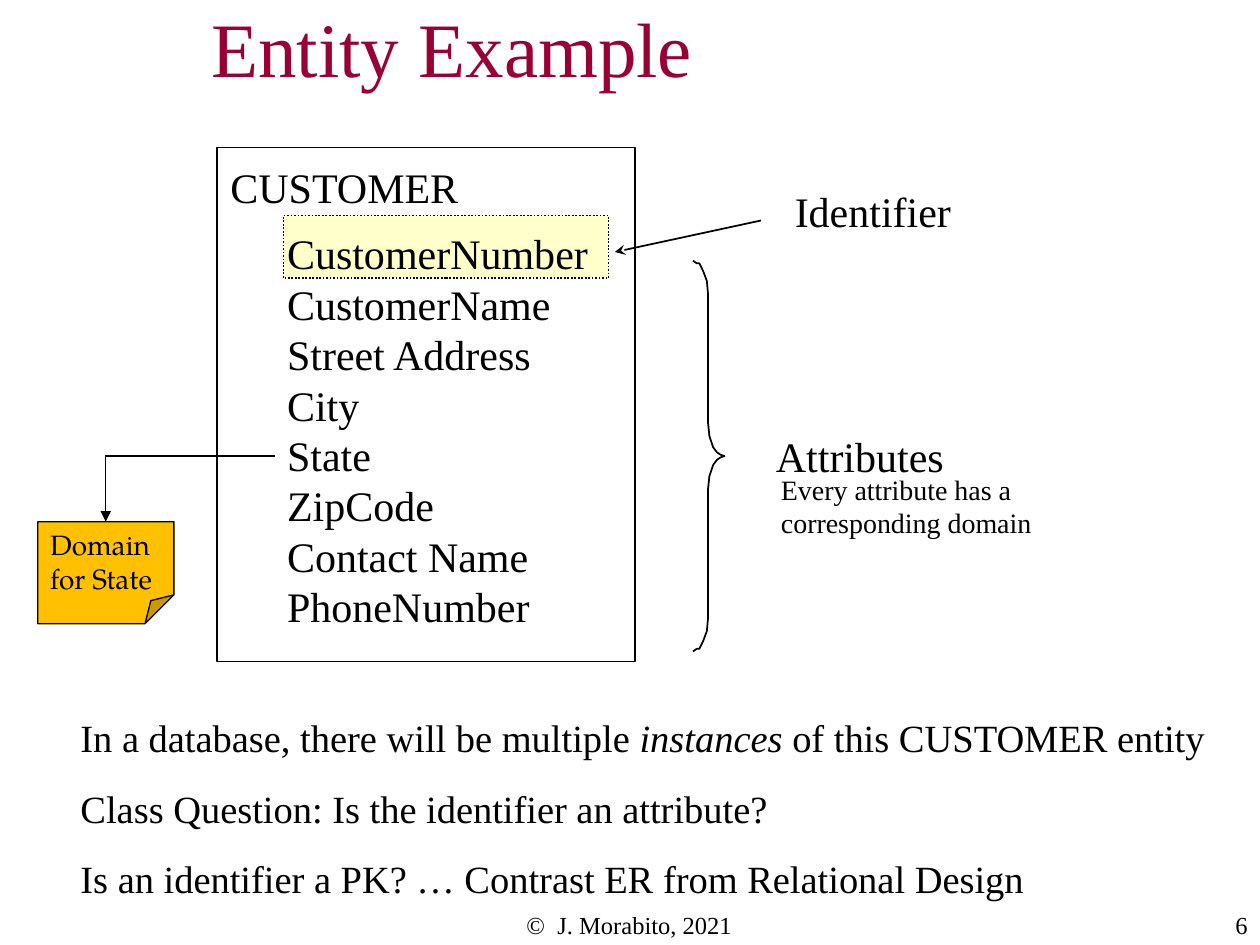
import pptx
import pptx.dml.color
import pptx.enum.dml
import pptx.enum.shapes
import pptx.enum.text
import pptx.oxml.ns
import pptx.util
from lxml import etree
from pptx.util import Inches

BLACK = pptx.dml.color.RGBColor(0x00, 0x00, 0x00)
CRIMSON = pptx.dml.color.RGBColor(0x99, 0x00, 0x33)
YELLOW = pptx.dml.color.RGBColor(0xFF, 0xFF, 0x99)
AMBER = pptx.dml.color.RGBColor(0xFF, 0xC0, 0x00)
SERIF = "Times New Roman"
NOTE_FONT = "TeX Gyre Pagella"

ALIGN = pptx.enum.text.PP_ALIGN
ANCHOR = pptx.enum.text.MSO_ANCHOR
SHAPE = pptx.enum.shapes.MSO_SHAPE
CONNECTOR = pptx.enum.shapes.MSO_CONNECTOR

ATTRIBUTES = ["CustomerNumber", "CustomerName", "Street Address", "City",
              "State", "ZipCode", "Contact Name", "PhoneNumber"]
REMARKS = [
    ["In a database, there will be multiple", " instances ", "of this CUSTOMER entity"],
    ["Class Question: Is the identifier an attribute?"],
    ["Is an identifier a PK? … Contrast ER from Relational Design"],
]
BRACE_TOP = [(5.5, 2.07), (5.53, 2.09), (5.55, 2.09), (5.58, 2.15), (5.61, 2.23),
             (5.62, 2.34), (5.62, 3.36), (5.63, 3.46), (5.66, 3.55), (5.69, 3.59),
             (5.72, 3.61)]
BRACE_TIP = (5.75, 3.62)


def sub_element(parent, tag, **attrs):
    return etree.SubElement(parent, pptx.oxml.ns.qn(tag), **attrs)


def find_element(sp, tag):
    return sp._element.spPr.find(".//" + pptx.oxml.ns.qn(tag))


def fill_text(tf, paragraphs, size, color=BLACK, font=SERIF, align=ALIGN.LEFT, gap=0):
    """Write paragraphs, each a list of runs; every second run is italic."""
    tf.word_wrap = True
    for i, runs in enumerate(paragraphs):
        p = tf.add_paragraph() if i else tf.paragraphs[0]
        p.alignment = align
        if i and gap:
            p.space_before = pptx.util.Pt(gap)
        p.font.size = pptx.util.Pt(size)
        p.font.name = font
        p.font.color.rgb = color
        for j, text in enumerate(runs):
            r = p.add_run()
            r.text = text
            if j % 2:
                r.font.italic = True


def add_text(s, box, paragraphs, size, anchor=ANCHOR.TOP, wrap=True, **style):
    tf = s.shapes.add_textbox(*map(Inches, box)).text_frame
    fill_text(tf, paragraphs, size, **style)
    tf.word_wrap = wrap
    tf.vertical_anchor = anchor


def style_shape(sp, fill=None, width=1):
    sp.shadow.inherit = False
    if fill is None:
        sp.fill.background()
    else:
        sp.fill.solid()
        sp.fill.fore_color.rgb = fill
    sp.line.color.rgb = BLACK
    sp.line.width = pptx.util.Pt(width)


def add_box(s, kind, box, fill=None, width=1):
    sp = s.shapes.add_shape(kind, *map(Inches, box))
    style_shape(sp, fill, width)
    return sp


def add_arrow(s, kind, start, end, head, width):
    c = s.shapes.add_connector(kind, *map(Inches, start + end))
    c.line.color.rgb = BLACK
    c.line.width = pptx.util.Pt(width)
    sub_element(find_element(c, "a:ln"), "a:tailEnd", type=head)
    sub_element(c._element.spPr, "a:effectLst")
    return c


def add_brace(s):
    """Draw the upper half of the brace, its tip and the mirrored lower half."""
    tip_y = BRACE_TIP[1]
    lower = [(x, 2 * tip_y - y) for x, y in reversed(BRACE_TOP)]
    points = [(Inches(x), Inches(y)) for x, y in BRACE_TOP + [BRACE_TIP] + lower]
    builder = s.shapes.build_freeform(*points[0])
    builder.add_line_segments(points[1:], close=False)
    style_shape(builder.convert_to_shape())


def add_entity(s):
    key = add_box(s, SHAPE.RECTANGLE, (2.25, 1.71, 2.58, 0.5), YELLOW)
    key.line.dash_style = pptx.enum.dml.MSO_LINE.ROUND_DOT
    sub_element(find_element(key, "a:srgbClr"), "a:alpha", val="50000")
    add_box(s, SHAPE.RECTANGLE, (1.72, 1.17, 3.32, 4.08))
    add_text(s, (1.73, 1.23, 2.02, 0.5), [["CUSTOMER"]], 24, wrap=False)
    add_text(s, (2.18, 1.76, 2.97, 3.3), [[name] for name in ATTRIBUTES], 24)


def add_annotations(s):
    add_arrow(s, CONNECTOR.STRAIGHT, (6.04, 1.75), (4.88, 2), "stealth", 1)
    add_text(s, (6.21, 1.42, 1.44, 0.5), [["Identifier"]], 24, wrap=False)
    add_brace(s)
    add_text(s, (6.06, 3.37, 1.54, 0.5), [["Attributes"]], 24, wrap=False)
    add_text(s, (6.1, 3.7, 3.06, 0.63),
             [["Every attribute has a corresponding domain"]], 16)


def add_domain_note(s):
    note = add_box(s, SHAPE.FOLDED_CORNER, (0.3, 4.14, 1.08, 0.81), AMBER, 0.75)
    # python-pptx lists no adjustment for this preset
    sub_element(find_element(note, "a:avLst"), "a:gd", name="adj", fmla="val 28200")
    fill_text(note.text_frame, [["Domain for State"]], 16, font=NOTE_FONT)
    note.text_frame.vertical_anchor = ANCHOR.TOP
    c = add_arrow(s, CONNECTOR.ELBOW, (2.18, 3.62), (0.84, 4.14), "triangle", 0.75)
    # A single bend: left from the attribute, then down to the note
    find_element(c, "a:prstGeom").set("prst", "bentConnector2")


def main():
    prs = pptx.Presentation()
    prs.slide_width, prs.slide_height = Inches(10), Inches(7.5)
    s = prs.slides.add_slide(prs.slide_layouts[6])
    add_text(s, (3.41, 7.17, 3.17, 0.25), [["©  J. Morabito, 2021"]], 14,
             align=ALIGN.CENTER)
    add_text(s, (8.58, 7.17, 1.42, 0.33), [["6"]], 14, align=ALIGN.RIGHT)
    add_text(s, (1.58, 0.08, 8.42, 0.58), [["Entity Example"]], 44,
             anchor=ANCHOR.MIDDLE, color=CRIMSON)
    add_entity(s)
    add_annotations(s)
    add_text(s, (0.54, 5.62, 9.15, 1.58), REMARKS, 22, gap=13.8)
    add_domain_note(s)
    prs.save("out.pptx")


if __name__ == "__main__":
    main()
